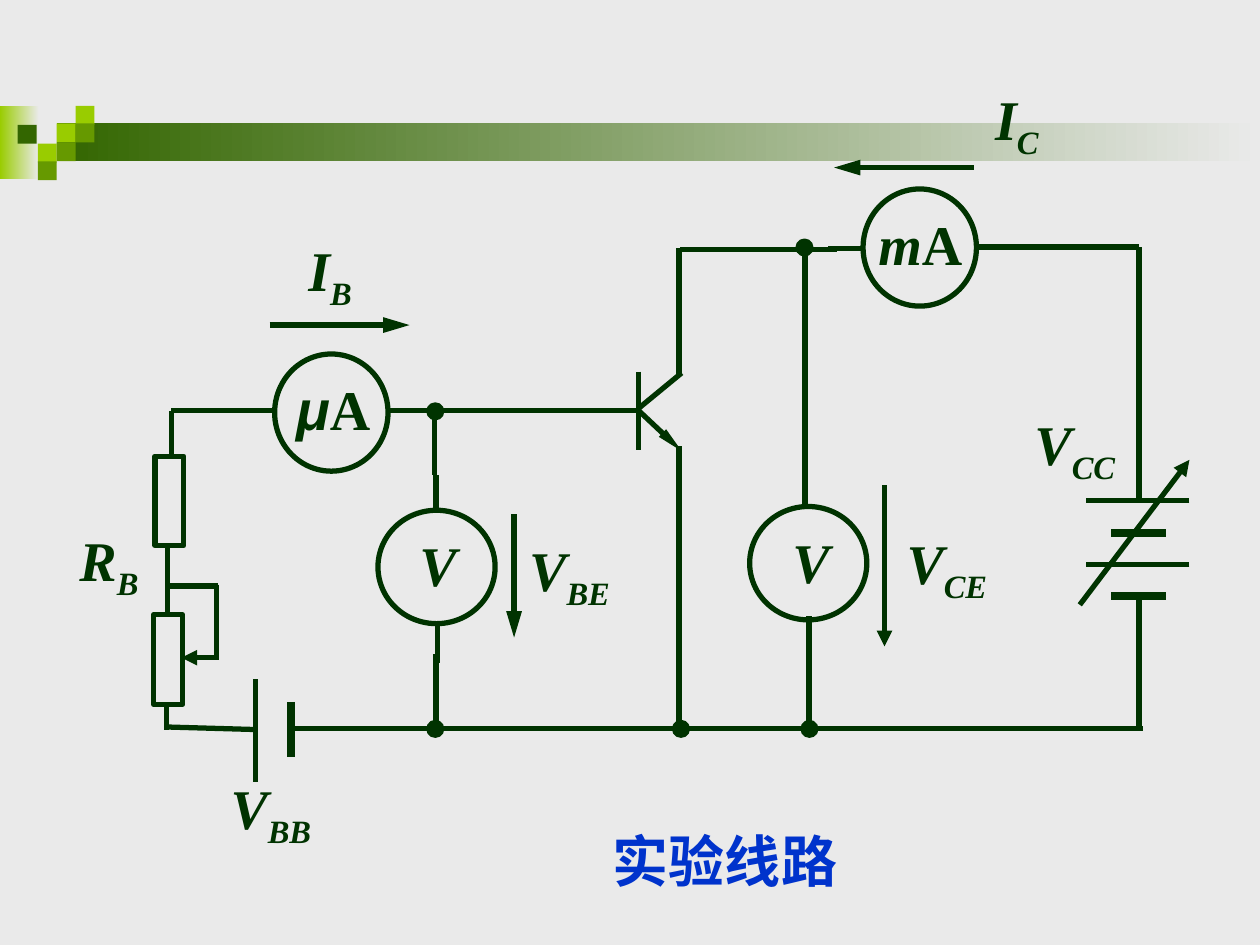
from lxml.etree import SubElement
from pptx import Presentation
from pptx.dml.color import RGBColor
from pptx.enum.shapes import MSO_CONNECTOR, MSO_SHAPE
from pptx.enum.text import MSO_ANCHOR, PP_ALIGN
from pptx.oxml.ns import qn
from pptx.util import Inches, Pt

COLORS = {
    "background": "EAEAEA",
    "ink": "003300",
    "caption": "0033CC",
    "lime": "99CC00",
    "leaf": "669900",
    "forest": "336600",
}


def rgb(name):
    return RGBColor.from_string(COLORS[name])


def add_run(paragraph, text, font="Times New Roman", size=32, color="ink",
            italic=True, baseline=0):
    run = paragraph.add_run()
    run.text = text
    run.font.name = font
    run.font.size = Pt(size)
    run.font.bold = True
    run.font.italic = italic
    run.font.color.rgb = rgb(color)
    if baseline:
        run.font._element.set("baseline", str(baseline * 1000))


prs = Presentation()
prs.slide_width, prs.slide_height = Inches(10), Inches(7.5)
slide = prs.slides.add_slide(prs.slide_layouts[6])
slide.background.fill.solid()
slide.background.fill.fore_color.rgb = rgb("background")
shapes = slide.shapes

# Header bands fading into the background
for left, top, width, height, start in [
    (0, 0.84, 0.31, 0.58, "lime"),
    (0.45, 0.98, 9.55, 0.3, "forest"),
]:
    band = shapes.add_shape(MSO_SHAPE.RECTANGLE, Inches(left), Inches(top),
                            Inches(width), Inches(height))
    band.shadow.inherit = False
    band.line.fill.background()
    band.fill.gradient()
    band.fill.gradient_angle = 0
    for stop, color, position in zip(band.fill.gradient_stops, (start, "background"), (0, 1)):
        stop.color.rgb = rgb(color)
        stop.position = position

# Header mosaic
for left, top, color in [
    (0.45, 0.98, "lime"), (0.6, 0.84, "lime"), (0.6, 0.98, "leaf"),
    (0.3, 1.14, "lime"), (0.14, 0.99, "forest"), (0.45, 1.13, "leaf"),
    (0.3, 1.28, "leaf"),
]:
    tile = shapes.add_shape(MSO_SHAPE.RECTANGLE, Inches(left), Inches(top),
                            Inches(0.15), Inches(0.15))
    tile.shadow.inherit = False
    tile.line.fill.background()
    tile.fill.solid()
    tile.fill.fore_color.rgb = rgb(color)

# Wires, battery plates and arrows: x1, y1, x2, y2, line width, arrowhead
WIRE, PLATE = 3, 4.5
SHORT = {"w": "med", "len": "med"}
LONG = {"w": "med", "len": "lg"}
SLIM = {"w": "sm", "len": "lg"}
wires = [
    # Base loop
    (3.08, 3.26, 5.09, 3.26, WIRE, None),
    (1.36, 3.26, 2.19, 3.26, WIRE, None),
    (1.36, 3.62, 1.36, 3.26, WIRE, None),
    (1.33, 4.88, 1.33, 4.33, WIRE, None),
    (1.32, 5.79, 1.32, 5.58, WIRE, None),
    (1.32, 5.77, 2.02, 5.79, WIRE, None),
    # Potentiometer slider
    (1.33, 4.65, 1.73, 4.65, WIRE, None),
    (1.72, 4.64, 1.72, 5.24, WIRE, None),
    (1.71, 5.22, 1.44, 5.22, WIRE, SHORT),
    # Base battery
    (2.03, 5.39, 2.03, 6.21, WIRE, None),
    (2.31, 5.57, 2.31, 6.01, PLATE, None),
    # Base voltmeter leads
    (3.46, 4.05, 3.46, 3.77, WIRE, None),
    (3.45, 3.77, 3.45, 3.24, WIRE, None),
    (3.47, 4.97, 3.47, 5.26, WIRE, None),
    (3.46, 5.19, 3.46, 5.81, WIRE, None),
    # Transistor
    (5.07, 2.95, 5.07, 3.57, WIRE, None),
    (5.07, 3.26, 5.41, 3.58, WIRE, SLIM),
    (5.07, 3.24, 5.41, 2.96, WIRE, None),
    (5.39, 1.97, 5.39, 2.98, WIRE, None),
    (5.39, 3.54, 5.39, 5.82, WIRE, None),
    # Collector loop
    (5.4, 1.98, 6.64, 1.98, WIRE, None),
    (6.84, 1.97, 6.57, 1.97, WIRE, None),
    (7.77, 1.96, 8.06, 1.96, WIRE, None),
    (8, 1.96, 9.04, 1.96, WIRE, None),
    (9.04, 3.97, 9.04, 1.96, WIRE, None),
    (9.04, 4.74, 9.04, 5.78, WIRE, None),
    (2.3, 5.78, 9.07, 5.78, WIRE, None),
    # Collector voltmeter leads
    (6.39, 1.98, 6.39, 4, WIRE, None),
    (6.42, 4.89, 6.42, 5.82, WIRE, None),
    # Variable supply
    (9.44, 3.97, 8.62, 3.97, WIRE, None),
    (9.25, 4.23, 8.82, 4.23, PLATE, None),
    (9.44, 4.48, 8.62, 4.48, WIRE, None),
    (9.25, 4.73, 8.82, 4.73, PLATE, None),
    (8.57, 4.8, 9.44, 3.65, WIRE, SHORT),
    # Current and voltage directions
    (2.14, 2.58, 3.25, 2.58, WIRE, LONG),
    (7.73, 1.33, 6.62, 1.33, WIRE, LONG),
    (4.08, 4.08, 4.08, 5.06, WIRE, LONG),
    (7.02, 3.85, 7.02, 5.13, WIRE, SHORT),
]
for x1, y1, x2, y2, weight, head in wires:
    wire = shapes.add_connector(MSO_CONNECTOR.STRAIGHT, Inches(x1), Inches(y1),
                                Inches(x2), Inches(y2))
    wire.line.color.rgb = rgb("ink")
    wire.line.width = Pt(weight)
    if head:
        SubElement(wire.line._get_or_add_ln(), qn("a:tailEnd"), type="triangle", **head)
    SubElement(wire._element.spPr, qn("a:effectLst"))

# Resistors, meters and junction dots
resistors = [(1.23, 3.62, 0.23, 0.71), (1.22, 4.88, 0.23, 0.71)]
meters = [(6.85, 1.5, 0.9, 0.93), (2.18, 2.81, 0.9, 0.93),
          (3, 4.05, 0.93, 0.9), (5.95, 4.02, 0.93, 0.9)]
junctions = [(x, y, 0.13, 0.13) for x, y in
             [(3.39, 3.2), (5.34, 5.72), (3.39, 5.72), (6.32, 1.9), (6.36, 5.72)]]
for parts, outline, weight, filled in [
    (resistors, MSO_SHAPE.RECTANGLE, WIRE, False),
    (meters, MSO_SHAPE.OVAL, WIRE, False),
    (junctions, MSO_SHAPE.OVAL, 1, True),
]:
    for box in parts:
        part = shapes.add_shape(outline, *map(Inches, box))
        part.shadow.inherit = False
        part.line.color.rgb = rgb("ink")
        part.line.width = Pt(weight)
        if filled:
            part.fill.solid()
            part.fill.fore_color.rgb = rgb("ink")
        else:
            part.fill.background()

# Labels: position, size, then runs of text with their format
SUB = {"baseline": -25}
UPRIGHT = {"italic": False}
labels = [
    (7.72, 0.62, 0.7, 0.71, [("I", {}), ("C", SUB)]),
    (2.27, 1.82, 0.7, 0.71, [("I", {}), ("B", SUB)]),
    (0.48, 4.12, 0.77, 0.71, [("R", {}), ("B", SUB)]),
    (1.68, 6.09, 0.94, 0.71, [("V", {}), ("BB", SUB)]),
    (4.05, 4.2, 0.94, 0.71, [("V", {}), ("BE", SUB)]),
    (7.03, 4.14, 0.97, 0.71, [("V", {}), ("CE", SUB)]),
    (8.06, 3.2, 0.94, 0.71, [("V", {}), ("CC", SUB)]),
    (3.23, 4.16, 0.49, 0.64, [("V", {})]),
    (6.19, 4.13, 0.49, 0.64, [("V", {})]),
    (6.86, 1.61, 0.89, 0.64, [("m", {}), ("A", UPRIGHT)]),
    (2.2, 2.92, 0.89, 0.64, [("μ", {"font": "Arial"}), ("A", UPRIGHT)]),
    (4.63, 6.51, 2.25, 0.64, [("实验线路", {"color": "caption", "italic": False})]),
]
for left, top, width, height, runs in labels:
    label = shapes.add_textbox(Inches(left), Inches(top), Inches(width), Inches(height))
    label.text_frame.word_wrap = False
    label.text_frame.vertical_anchor = MSO_ANCHOR.MIDDLE
    line = label.text_frame.paragraphs[0]
    line.alignment = PP_ALIGN.CENTER
    for text, style in runs:
        add_run(line, text, **style)

prs.save("out.pptx")
